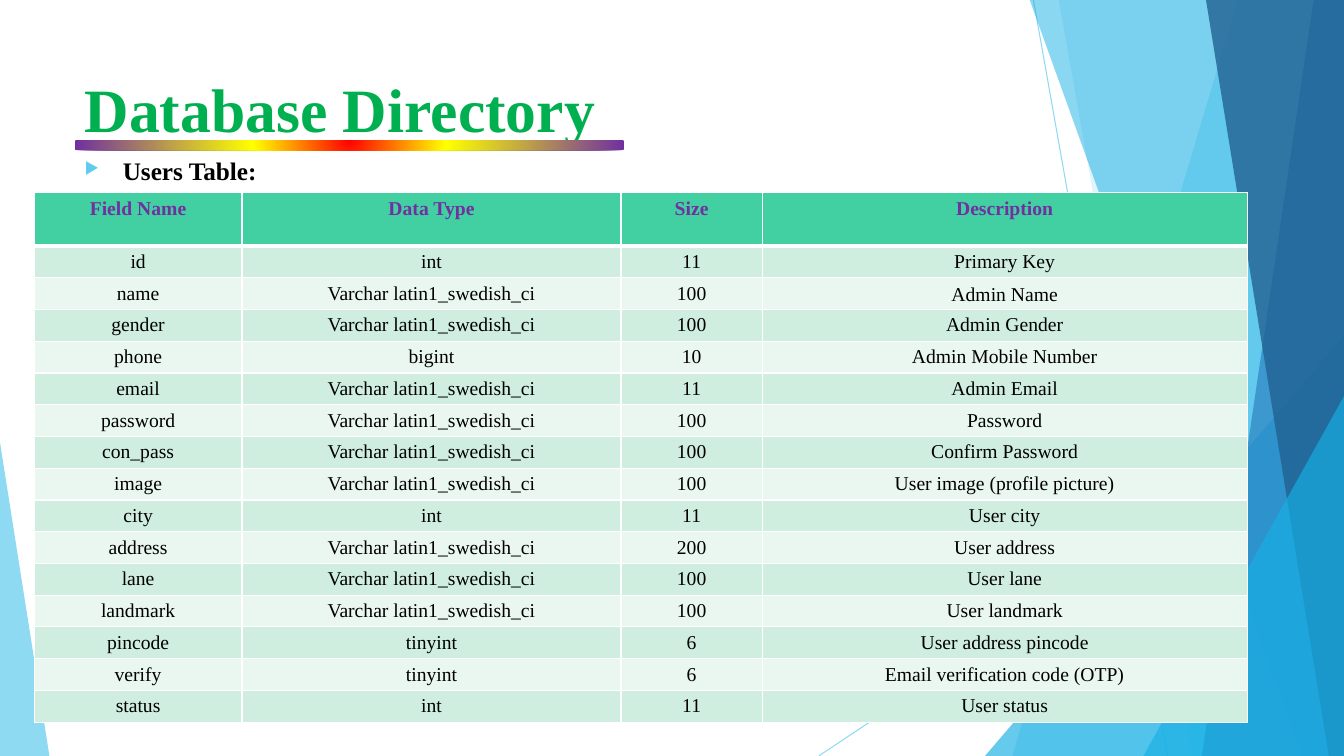
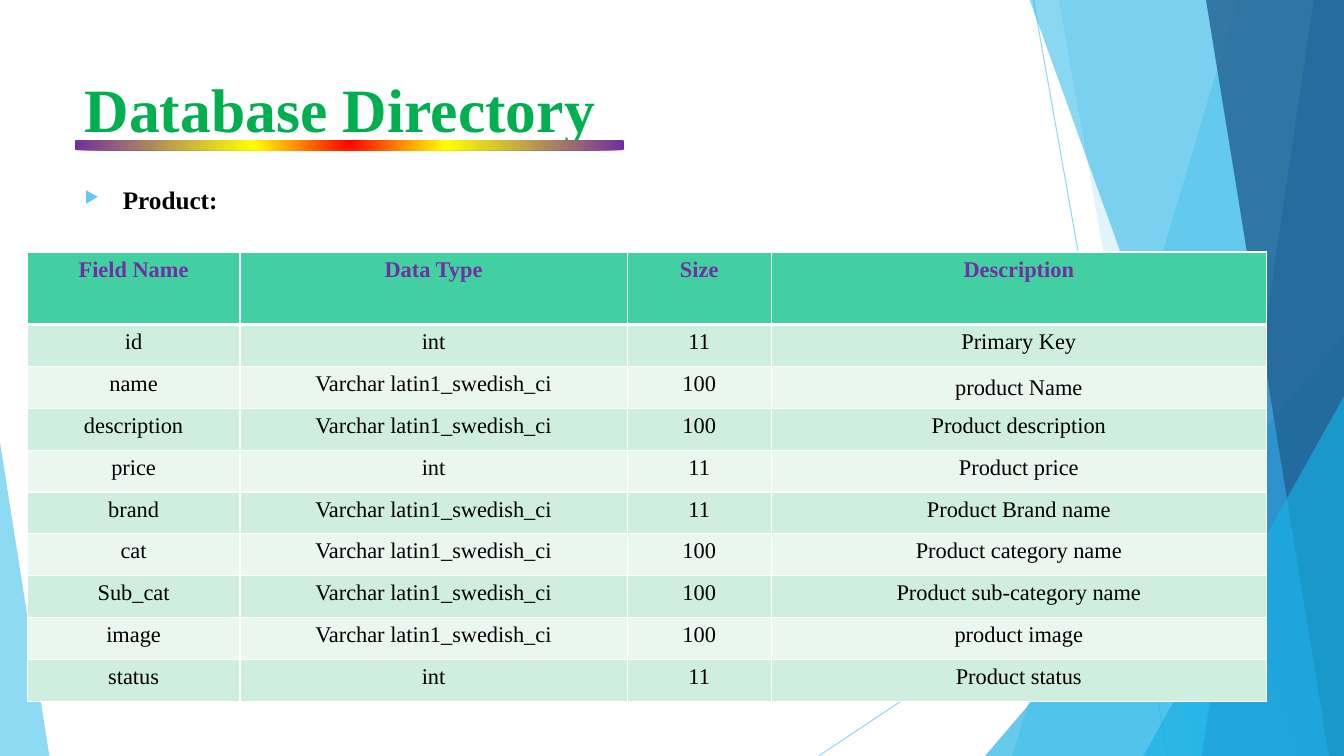
from lxml import etree
from pptx import Presentation
from pptx.dml.color import RGBColor
from pptx.enum.shapes import MSO_CONNECTOR, MSO_SHAPE
from pptx.enum.text import MSO_ANCHOR, PP_ALIGN
from pptx.oxml.ns import qn
from pptx.util import Inches, Pt

STRAIGHT = MSO_CONNECTOR.STRAIGHT
TRIANGLE = MSO_SHAPE.ISOSCELES_TRIANGLE
ROUNDED = MSO_SHAPE.ROUNDED_RECTANGLE
TOP, MIDDLE = MSO_ANCHOR.TOP, MSO_ANCHOR.MIDDLE
CENTER = PP_ALIGN.CENTER

# Shared style
WIDTH, HEIGHT = 13.33, 7.5
FONT = "Times New Roman"
SKY, CYAN, BLUE, NAVY = "5FCBEF", "17B0E4", "2E83C3", "226292"
GREEN, PURPLE, BLACK, WHITE = "00B050", "7030A0", "000000", "FFFFFF"
HEADER_FILL = "42D0A2"
ROW_FILLS = ("CFEEE0", "E9F7F0")
RAINBOW = ((0, "FF0000"), (35, "FFFF00"), (100, PURPLE))

# Background decoration: lines, then facets from back to front
LINES = ((10.25, 0, 11.58, HEIGHT), (WIDTH, 4.03, 8.12, HEIGHT))
# Facets reach the right edge: ("band", top x, bottom x) or ("triangle", left, top)
FACETS = (
    ("band", 12.28, 10.04, SKY, 36),
    ("band", 10.5, 11.83, SKY, 20),
    ("triangle", 9.77, 3.33, CYAN, 66),
    ("band", 10.21, 12.91, CYAN, 50),
    ("band", 13.03, 11.92, BLUE, 70),
    ("band", 11.96, 13.18, NAVY, 80),
    ("triangle", 11.34, 3.93, CYAN, 66),
)

# Table content
HEADINGS = ("Field Name", "Data Type", "Size", "Description")
VARCHAR = "Varchar latin1_swedish_ci"
USER_FIELDS = (
    ("id", "int", "11", "Primary Key"),
    ("name", VARCHAR, "100", "Admin Name"),
    ("gender", VARCHAR, "100", "Admin Gender"),
    ("phone", "bigint", "10", "Admin Mobile Number"),
    ("email", VARCHAR, "11", "Admin Email"),
    ("password", VARCHAR, "100", "Password"),
    ("con_pass", VARCHAR, "100", "Confirm Password"),
    ("image", VARCHAR, "100", "User image (profile picture)"),
    ("city", "int", "11", "User city"),
    ("address", VARCHAR, "200", "User address"),
    ("lane", VARCHAR, "100", "User lane"),
    ("landmark", VARCHAR, "100", "User landmark"),
    ("pincode", "tinyint", "6", "User address pincode"),
    ("verify", "tinyint", "6", "Email verification code (OTP)"),
    ("status", "int", "11", "User status"),
)
PRODUCT_FIELDS = (
    ("id", "int", "11", "Primary Key"),
    ("name", VARCHAR, "100", "product Name"),
    ("description", VARCHAR, "100", "Product description"),
    ("price", "int", "11", "Product price"),
    ("brand", VARCHAR, "11", "Product Brand name"),
    ("cat", VARCHAR, "100", "Product category name"),
    ("Sub_cat", VARCHAR, "100", "Product sub-category name"),
    ("image", VARCHAR, "100", "product image"),
    ("status", "int", "11", "Product status"),
)


def color(hex_code):
    return RGBColor.from_string(hex_code)


def add_node(parent, tag, **attributes):
    node = etree.SubElement(parent, qn(tag))
    for name, value in attributes.items():
        node.set(name, str(value))
    return node


def set_opacity(shape, percent):
    for node in shape.element.spPr.iter(qn("a:srgbClr")):
        add_node(node, "a:alpha", val=percent * 1000)


def paint(shape, fill, opacity):
    shape.shadow.inherit = False
    shape.line.fill.background()
    shape.fill.solid()
    shape.fill.fore_color.rgb = color(fill)
    set_opacity(shape, opacity)


# Background
def add_line(page, x1, y1, x2, y2):
    line = page.shapes.add_connector(
        STRAIGHT, Inches(x1), Inches(y1), Inches(x2), Inches(y2))
    line.line.color.rgb = color(SKY)
    line.line.width = Pt(0.75)
    set_opacity(line, 70)
    add_node(line.element.spPr, "a:effectLst")


def add_band(page, top_x, bottom_x, fill, opacity):
    builder = page.shapes.build_freeform(Inches(top_x), Inches(-0.01))
    corners = ((WIDTH, -0.01), (WIDTH, HEIGHT), (bottom_x, HEIGHT))
    builder.add_line_segments([(Inches(x), Inches(y)) for x, y in corners])
    paint(builder.convert_to_shape(), fill, opacity)


def add_triangle(page, left, top, right, apex, fill, opacity):
    shape = page.shapes.add_shape(
        TRIANGLE, Inches(left), Inches(top),
        Inches(right - left), Inches(HEIGHT - top))
    shape.adjustments[0] = apex
    paint(shape, fill, opacity)


def add_background(page):
    for ends in LINES:
        add_line(page, *ends)
    for kind, first, second, fill, opacity in FACETS:
        if kind == "band":
            add_band(page, first, second, fill, opacity)
        else:
            add_triangle(page, first, second, WIDTH, 1, fill, opacity)
    add_triangle(page, 0, 4.39, 0.49, 0, SKY, 70)


# Text
def add_span(para, text, size, hex_code, bold):
    span = para.add_run()
    span.text = text
    span.font.name = FONT
    span.font.size = Pt(size)
    span.font.bold = bold
    span.font.color.rgb = color(hex_code)


def add_text(page, at, text, size, hex_code, inset):
    box = page.shapes.add_textbox(*[Inches(length) for length in at])
    frame = box.text_frame
    frame.word_wrap = True
    frame.vertical_anchor = TOP
    frame.margin_top = Inches(inset)
    para = frame.paragraphs[0]
    add_span(para, text, size, hex_code, True)
    return para


def add_bullet(para):
    props = para._p.get_or_add_pPr()
    props.set("marL", str(Inches(0.38)))
    props.set("indent", str(Inches(-0.38)))
    add_node(add_node(props, "a:buClr"), "a:srgbClr", val=SKY)
    add_node(props, "a:buSzPct", val=65000)
    add_node(props, "a:buChar", char="▶")


def add_rainbow_bar(page):
    bar = page.shapes.add_shape(
        ROUNDED, Inches(0.74), Inches(1.39), Inches(5.45), Inches(0.1))
    bar.shadow.inherit = False
    bar.line.fill.background()
    gradient = etree.Element(qn("a:gradFill"), rotWithShape="1")
    stops = add_node(gradient, "a:gsLst")
    for position, hex_code in RAINBOW:
        stop = add_node(stops, "a:gs", pos=position * 1000)
        add_node(stop, "a:srgbClr", val=hex_code)
    circle = add_node(gradient, "a:path", path="circle")
    add_node(circle, "a:fillToRect", l=50000, t=-80000, r=50000, b=180000)
    bar.element.spPr.find(qn("a:prstGeom")).addnext(gradient)


# Table
def add_borders(cell, top, bottom):
    props = cell._tc.get_or_add_tcPr()
    for side, points in (("L", 1), ("R", 1), ("T", top), ("B", bottom)):
        line = add_node(props, "a:ln" + side, w=Pt(points))
        add_node(add_node(line, "a:solidFill"), "a:srgbClr", val=WHITE)


def fill_cell(cell, text, row, size):
    is_header = row == 0
    add_borders(cell, top=3 if row == 1 else 1, bottom=3 if is_header else 1)
    cell.fill.solid()
    cell.fill.fore_color.rgb = color(
        HEADER_FILL if is_header else ROW_FILLS[(row - 1) % 2])
    cell.margin_top, cell.margin_bottom = Inches(0.05), Inches(0.03)
    para = cell.text_frame.paragraphs[0]
    para.alignment = CENTER
    add_span(para, text, size, PURPLE if is_header else BLACK, is_header)


def add_field_table(page, fields, left, top, height, header, widths, size):
    rows = (HEADINGS,) + fields
    frame = page.shapes.add_table(
        len(rows), len(widths), Inches(left), Inches(top),
        Inches(sum(widths)), Inches(height))
    table = frame.table
    table.first_row = table.horz_banding = False
    for column, width in zip(table.columns, widths):
        column.width = Inches(width)
    row_height = (height - header) / len(fields)
    for index, texts in enumerate(rows):
        table.rows[index].height = Inches(row_height if index else header)
        for column, text in enumerate(texts):
            fill_cell(table.cell(index, column), text, index, size)
    # The description of "name" sits in the middle of its row
    table.cell(2, 3).vertical_anchor = MIDDLE


def add_page(deck, subject, subject_top, fields, **layout):
    page = deck.slides.add_slide(deck.slide_layouts[6])
    add_background(page)
    add_bullet(add_text(
        page, (0.74, subject_top, 9.4, 4.89), subject, 18, BLACK, 0.05))
    # The small inset keeps the title's baseline above the rainbow bar
    add_text(page, (0.74, 0.67, 9.65, 1.44), "Database Directory", 44, GREEN, 0.03)
    add_rainbow_bar(page)
    add_field_table(page, fields, **layout)


def main():
    deck = Presentation()
    deck.slide_width, deck.slide_height = Inches(WIDTH), Inches(HEIGHT)
    add_page(deck, "Users Table:", 1.49, USER_FIELDS, left=0.34, top=1.91,
             height=5.26, header=0.53, widths=(2.06, 3.76, 1.4, 4.81), size=14)
    add_page(deck, "Product:", 1.78, PRODUCT_FIELDS, left=0.27, top=2.5,
             height=4.46, header=0.72, widths=(2.11, 3.84, 1.43, 4.91), size=16)
    deck.save("out.pptx")


if __name__ == "__main__":
    main()
